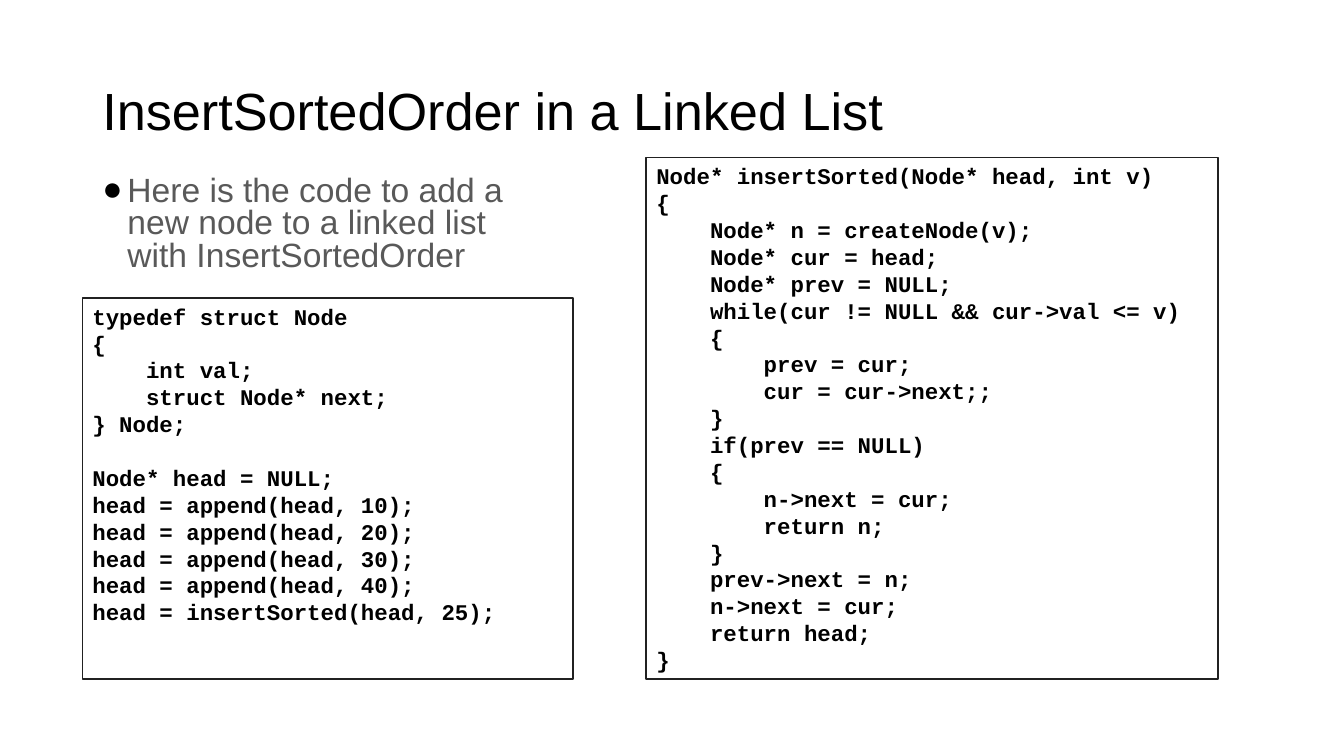
from dataclasses import dataclass
from lxml.etree import SubElement
from pptx import Presentation
from pptx.dml.color import RGBColor as RGB
from pptx.enum.shapes import MSO_SHAPE as Shape
from pptx.enum.text import MSO_ANCHOR as Anchor, MSO_AUTO_SIZE as Fit, PP_ALIGN as Align
from pptx.oxml.ns import qn
from pptx.util import Pt


@dataclass
class Theme:
    black: RGB = RGB(0x00, 0x00, 0x00)
    grey: RGB = RGB(0x59, 0x59, 0x59)
    edge: RGB = RGB(0x21, 0x21, 0x21)
    white: RGB = RGB(0xFF, 0xFF, 0xFF)
    sans: str = "Arial"
    mono: str = "Courier New"
    head: int = 28
    body: int = 18
    code: int = 12


theme = Theme()


def write(shape, text, size, color, font, bold=False, anchor=Anchor.TOP,
          line=None, bullet=None, gap=0):
    """Fill the shape, one paragraph a line; an empty line becomes a gap before the next."""
    frame = shape.text_frame
    frame.word_wrap, frame.auto_size = True, Fit.NONE
    frame.vertical_anchor = anchor
    frame.margin_left = frame.margin_right = Pt(5.3)
    frame.margin_top = frame.margin_bottom = Pt(2.65)
    para, space = frame.paragraphs[0], 0
    for row, words in enumerate(text.split("\n")):
        if not words:
            space = gap
            continue
        if row:
            para = frame.add_paragraph()
        if bullet:
            props = para._p.get_or_add_pPr()
            props.set("marL", str(Pt(13.5)))
            props.set("indent", str(-Pt(13.5)))
            tint = SubElement(props, qn("a:buClr"))
            SubElement(tint, qn("a:srgbClr"), val=str(theme.black))
            SubElement(props, qn("a:buFont"), typeface=font)
            SubElement(props, qn("a:buChar"), char=bullet)
        para.alignment = Align.LEFT
        para.space_before, space = Pt(space), 0
        if line:
            para.line_spacing = line
        run = para.add_run()
        run.text = words
        run.font.size, run.font.name, run.font.bold = Pt(size), font, bold
        run.font.color.rgb = color


def place(shape, left, top, width, height):
    shape.left, shape.top = Pt(left), Pt(top)
    shape.width, shape.height = Pt(width), Pt(height)


deck = Presentation()
deck.slide_width, deck.slide_height = Pt(720), Pt(405)
slide = deck.slides.add_slide(deck.slide_layouts[1])

title, body = slide.placeholders
place(title, 49.5, 21.6, 621, 78.3)
write(title, "InsertSortedOrder in a Linked List", size=theme.head,
      color=theme.black, font=theme.sans, anchor=Anchor.MIDDLE, line=0.9)

place(body, 49.5, 92, 252, 57)
write(body, "Here is the code to add a new node to a linked list with InsertSortedOrder",
      size=theme.body, color=theme.grey, font=theme.sans, line=0.8, bullet="●")

insert = """Node* insertSorted(Node* head, int v)
{
    Node* n = createNode(v);
    Node* cur = head;
    Node* prev = NULL;
    while(cur != NULL && cur->val <= v)
    {
        prev = cur;
        cur = cur->next;;
    }
    if(prev == NULL)
    {
        n->next = cur;
        return n;
    }
    prev->next = n;
    n->next = cur;
    return head;
}"""

setup = """typedef struct Node
{
    int val;
    struct Node* next;
} Node;

Node* head = NULL;
head = append(head, 10);
head = append(head, 20);
head = append(head, 30);
head = append(head, 40);
head = insertSorted(head, 25);"""

base = 363.6
for code, left, top, width in ((insert, 346.3, 84.4, 306.2), (setup, 44.2, 159.6, 263)):
    panel = slide.shapes.add_shape(
        Shape.RECTANGLE, Pt(left), Pt(top), Pt(width), Pt(base - top))
    panel.shadow.inherit = False
    panel.fill.solid()
    panel.fill.fore_color.rgb = theme.white
    panel.line.color.rgb = theme.edge
    panel.line.width = Pt(1)
    write(panel, code, size=theme.code, color=theme.black, font=theme.mono,
          bold=True, gap=14.4)

deck.save("out.pptx")
